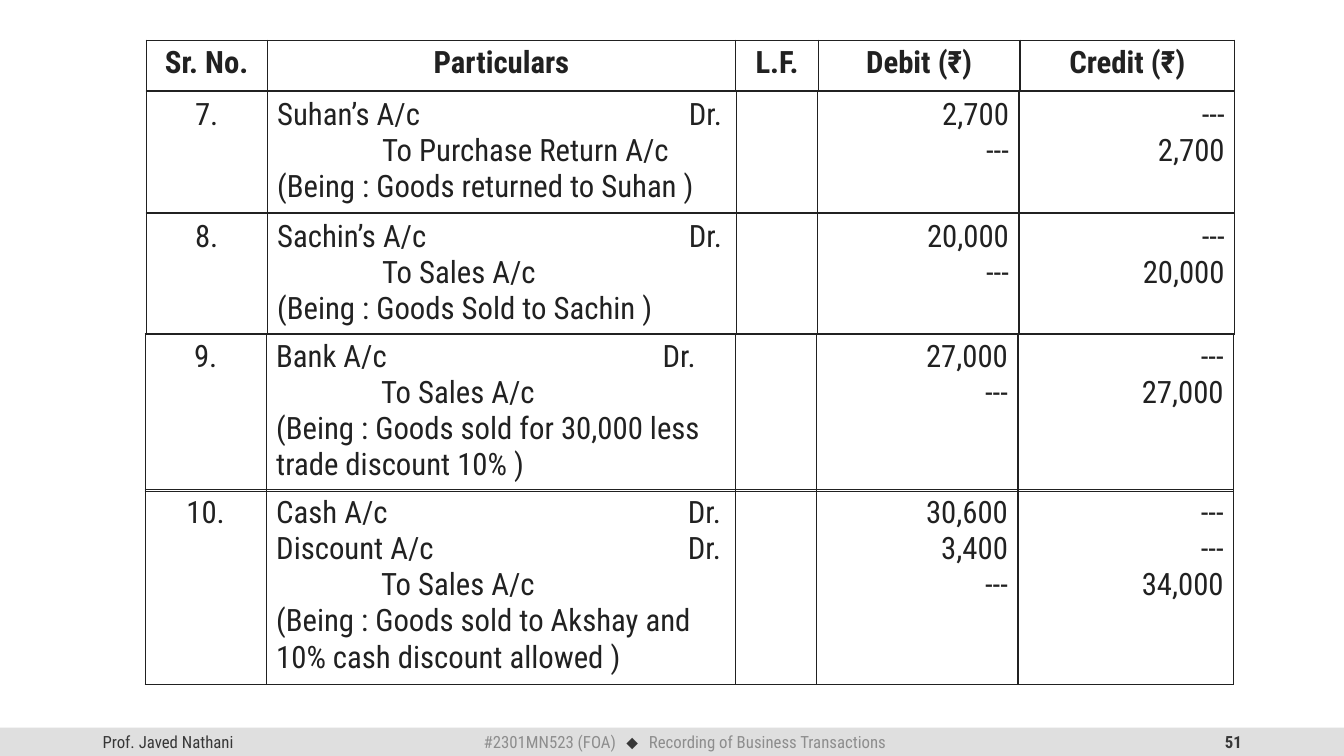
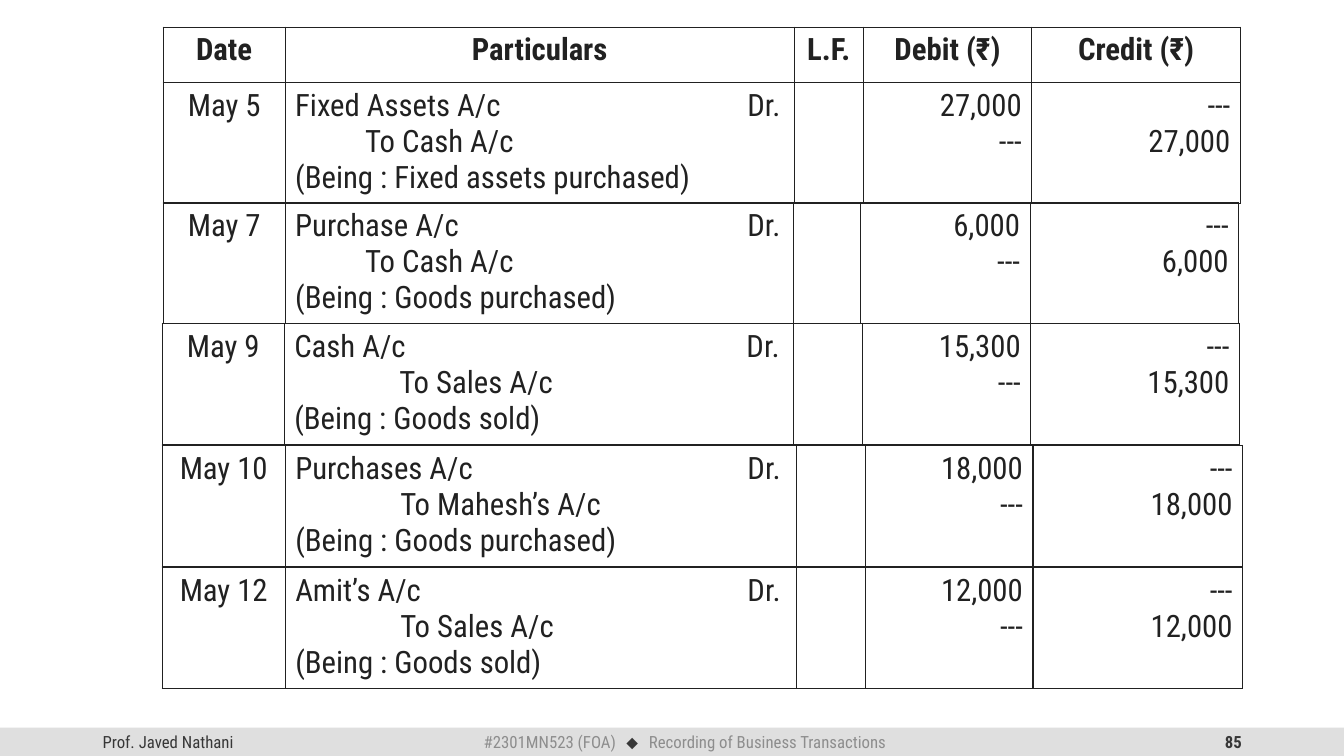
from lxml import etree
from pptx import Presentation
from pptx.dml.color import RGBColor
from pptx.enum import shapes, text
from pptx.oxml import ns
from pptx.util import Pt

COLORS = {"ink": "212121", "band": "DFDFDF", "dark": "373737", "gray": "8D8D8D"}
FONT = "Roboto Condensed"
LEFT, CENTER, RIGHT = text.PP_ALIGN.LEFT, text.PP_ALIGN.CENTER, text.PP_ALIGN.RIGHT
COLUMN_ALIGN = [CENTER, LEFT, CENTER, RIGHT, RIGHT]
NIL = "---"
BAND_TOP, BAND_H = 519.8, 20.2


def add_run(p, content, size=22, color="ink", bold=False, font=FONT):
    r = p.add_run()
    r.text = content
    r.font.size, r.font.bold, r.font.name = Pt(size), bold, font
    r.font.color.rgb = RGBColor.from_string(COLORS[color])


def set_tabs(p, *stops):
    tabs = etree.SubElement(p._p.get_or_add_pPr(), ns.qn("a:tabLst"))
    for stop in stops:
        etree.SubElement(tabs, ns.qn("a:tab"), pos=str(Pt(stop)), algn="l")


# An entry is (label, particulars, debit amounts); its credit is the sum of the debits.
# A table is (left, top, column widths, header height or None, entry height, entry).
sr_cols = [86.4, 335.5, 57.6, 144, 154.1]
date_cols = [87.1, 363.6, 49.3, 120.5, 149]
late_cols = [87.8, 365, 49.7, 119.5, 149.8]
pages = [
    dict(number="51", first="Sr. No.", dr_tab=294, tables=[
        (104.4, 28.8, [86.4, 334.8, 59, 144, 153.4], 36, None, None),
        (104.4, 65.5, sr_cols, None, 86.4,
         ("7.", ["Suhan’s A/c\tDr.", "To Purchase Return A/c",
                 "(Being : Goods returned to Suhan )"], [2700])),
        (104.4, 152.6, sr_cols, None, 86.4,
         ("8.", ["Sachin’s A/c\tDr.", "To Sales A/c",
                 "(Being : Goods Sold to Sachin )"], [20000])),
        (103.7, 238.3, sr_cols, None, 113,
         ("9.", ["Bank A/c\tDr.", "To Sales A/c",
                 "(Being : Goods sold for 30,000 less trade discount 10% )"], [27000])),
        (103.7, 349.9, sr_cols, None, 139,
         ("10.", ["Cash A/c\tDr.", "Discount A/c\tDr.", "To Sales A/c",
                  "(Being : Goods sold to Akshay and 10% cash discount allowed )"],
          [30600, 3400])),
    ]),
    dict(number="85", first="Date", dr_tab=323, tables=[
        (116.6, 19.4, date_cols, 39.6, 86.4,
         ("May 5", ["Fixed Assets A/c\tDr.", "To Cash A/c",
                    "(Being : Fixed assets purchased)"], [27000])),
        (116.6, 144.7, [87.1, 363, 48.2, 121, 149], None, 86.4,
         ("May 7", ["Purchase A/c\tDr.", "To Cash A/c",
                    "(Being : Goods purchased)"], [6000])),
        (115.9, 231.1, date_cols, None, 86.4,
         ("May 9", ["Cash A/c\tDr.", "To Sales A/c",
                    "(Being : Goods sold)"], [15300])),
        (115.9, 318.2, late_cols, None, 86.4,
         ("May 10", ["Purchases A/c\tDr.", "To Mahesh’s A/c",
                     "(Being : Goods purchased)"], [18000])),
        (115.9, 405.4, late_cols, None, 86.4,
         ("May 12", ["Amit’s A/c\tDr.", "To Sales A/c",
                     "(Being : Goods sold)"], [12000])),
    ]),
]
TAB_EXCEPTIONS = {"Bank A/c\tDr.": 276}

prs = Presentation()
prs.slide_width, prs.slide_height = Pt(960), Pt(540)

for page in pages:
    s = prs.slides.add_slide(prs.slide_layouts[6])

    # Footer
    band = s.shapes.add_shape(shapes.MSO_SHAPE.ROUNDED_RECTANGLE,
                              Pt(0), Pt(BAND_TOP), Pt(960), Pt(BAND_H))
    band.adjustments[0] = 0
    band.shadow.inherit = False
    band.fill.solid()
    band.fill.fore_color.rgb = RGBColor.from_string(COLORS["band"])
    band.line.fill.background()

    footers = [
        (66.2, 216, LEFT, [("Prof. Javed Nathani", dict(color="dark"))]),
        (678.2, 216, RIGHT, [(page["number"], dict(color="dark", bold=True))]),
        (301, 377.3, LEFT, [("#2301MN523 (FOA)\t", dict(color="gray")),
                            ("⬥\t", dict(color="dark", font="Arial")),
                            ("Recording of Business Transactions", dict(color="gray"))]),
    ]
    for left, width, align, runs in footers:
        tf = s.shapes.add_textbox(Pt(left), Pt(BAND_TOP), Pt(width), Pt(BAND_H)).text_frame
        tf.word_wrap = True
        tf.vertical_anchor = text.MSO_ANCHOR.MIDDLE
        p = tf.paragraphs[0]
        p.alignment = align
        if len(runs) > 1:
            tf.margin_left = Pt(44.5)
            set_tabs(p, 102, 118)
        for content, style in runs:
            add_run(p, content, size=12, **style)

    # Journal
    for left, top, widths, header_h, entry_h, entry in page["tables"]:
        rows = []
        if header_h:
            titles = [page["first"], "Particulars", "L.F.", "Debit (₹)", "Credit (₹)"]
            rows.append((header_h, True, [[title] for title in titles]))
        if entry:
            label, particulars, debits = entry
            rows.append((entry_h, False, [
                [label], particulars, [],
                [f"{amount:,}" for amount in debits] + [NIL],
                [NIL] * len(debits) + [f"{sum(debits):,}"]]))

        table = s.shapes.add_table(len(rows), len(widths), Pt(left), Pt(top), Pt(sum(widths)),
                                   Pt(sum(row[0] for row in rows))).table
        table.first_row = table.horz_banding = False
        for column, width in zip(table.columns, widths):
            column.width = Pt(width)

        for i, (height, is_header, cells) in enumerate(rows):
            table.rows[i].height = Pt(height)
            for j, lines in enumerate(cells):
                cell = table.cell(i, j)
                tcPr = cell._tc.get_or_add_tcPr()
                for side in ("lnL", "lnR", "lnT", "lnB"):
                    ln = etree.SubElement(tcPr, ns.qn(f"a:{side}"), w=str(Pt(1)))
                    fill = etree.SubElement(ln, ns.qn("a:solidFill"))
                    etree.SubElement(fill, ns.qn("a:srgbClr"), val=COLORS["ink"])
                cell.fill.background()

                tf = cell.text_frame
                for k, line in enumerate(lines):
                    p = tf.add_paragraph() if k else tf.paragraphs[0]
                    p.alignment = CENTER if is_header else COLUMN_ALIGN[j]
                    if "\t" in line:
                        set_tabs(p, TAB_EXCEPTIONS.get(line, page["dr_tab"]))
                    if line.startswith("To "):
                        indent = 50 if line == "To Cash A/c" else 75
                        p._p.get_or_add_pPr().set("marL", str(Pt(indent)))
                    add_run(p, line, bold=is_header)

prs.save("out.pptx")
